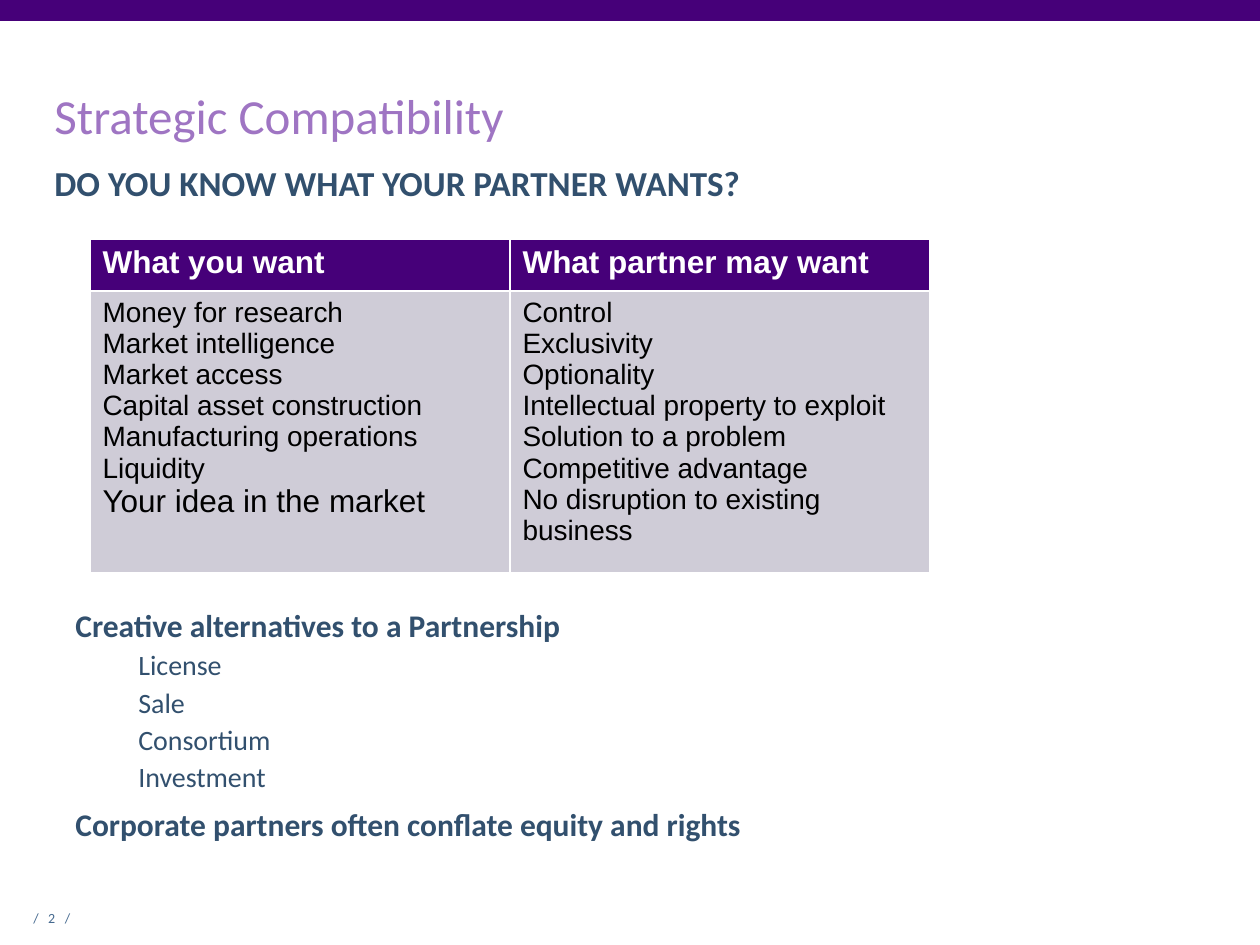
"""Build the Strategic Compatibility slide."""
import pptx
import pptx.dml.color
import pptx.enum.shapes
import pptx.enum.text
import pptx.util

COLORS = {"purple": "460079", "lilac": "9F75C3", "navy": "32506E",
          "steel": "45698F", "cell": "CFCCD7", "white": "FFFFFF", "black": "000000"}
ANCHOR = pptx.enum.text.MSO_ANCHOR
TABLE = {
    "What you want": [
        "Money for research", "Market intelligence", "Market access",
        "Capital asset construction", "Manufacturing operations", "Liquidity",
        "Your idea in the market"],
    "What partner may want": [
        "Control", "Exclusivity", "Optionality", "Intellectual property to exploit",
        "Solution to a problem", "Competitive advantage",
        "No disruption to existing business"],
}
ALTERNATIVES = ["License", "Sale", "Consortium", "Investment"]


def px(n):
    return pptx.util.Emu(round(n * 914400 / 126))


def rgb(name):
    return pptx.dml.color.RGBColor.from_string(COLORS[name])


def add_text(tf, text, size, color, font="Calibri", bold=False, line=None,
             before=0, after=0, margin=0, indent=0, level=0, tracking=0):
    p = tf.paragraphs[0]
    if p.runs:
        p = tf.add_paragraph()
    p.alignment = pptx.enum.text.PP_ALIGN.LEFT
    p.level = level
    p.line_spacing = line
    p.space_before, p.space_after = pptx.util.Pt(before), pptx.util.Pt(after)
    pPr = p._p.get_or_add_pPr()
    pPr.set("marL", str(px(margin)))
    pPr.set("indent", str(px(indent)))
    r = p.add_run()
    r.text = text
    r.font.name, r.font.size, r.font.bold = font, pptx.util.Pt(size), bold
    r.font.color.rgb = rgb(color)
    if tracking:
        r.font._element.set("spc", str(tracking))


def add_box(s, x, y, w, h, anchor=ANCHOR.TOP):
    tf = s.shapes.add_textbox(px(x), px(y), px(w), px(h)).text_frame
    tf.word_wrap = True
    tf.vertical_anchor = anchor
    return tf


def add_bar(s, x, y, w, h, color):
    sp = s.shapes.add_shape(pptx.enum.shapes.MSO_SHAPE.RECTANGLE,
                            px(x), px(y), px(w), px(h))
    sp.shadow.inherit = False
    sp.fill.solid()
    sp.fill.fore_color.rgb = rgb(color)
    sp.line.fill.background()


def fill_cell(cell, color):
    cell.fill.solid()
    cell.fill.fore_color.rgb = rgb(color)
    return cell.text_frame


def add_wants_table(s, x, y, w, heights):
    table = s.shapes.add_table(2, len(TABLE), px(x), px(y), px(w), px(sum(heights))).table
    for row, height in zip(table.rows, heights):
        row.height = px(height)
    for col, (head, wants) in enumerate(TABLE.items()):
        tf = fill_cell(table.cell(0, col), "purple")
        add_text(tf, head, 18, "white", font="Arial", bold=True)
        tf = fill_cell(table.cell(1, col), "cell")
        for want in wants:
            size = 18 if want.startswith("Your idea") else 16
            add_text(tf, want, size, "black", font="Arial")


def add_alternatives(s):
    tf = add_box(s, 63, 606, 1134, 258)
    head = dict(size=18, color="navy", bold=True, line=0.85, before=5, after=5,
                margin=39, indent=-39)
    add_text(tf, "Creative alternatives to a Partnership", **head)
    for name in ALTERNATIVES:
        add_text(tf, name, 16, "navy", line=0.85, after=5,
                 margin=102, indent=-39, level=1)
    add_text(tf, "Corporate partners often conflate equity and rights", **head)


def main():
    prs = pptx.Presentation()
    prs.slide_width, prs.slide_height = px(1260), px(945)
    s = prs.slides.add_slide(prs.slide_layouts[6])
    tf = add_box(s, 21, 902, 73, 30, ANCHOR.BOTTOM)
    tf.margin_right = 0
    add_text(tf, "/ 2 /", 8, "steel", tracking=180)
    add_bar(s, 0, 0, 1260, 21, "purple")
    add_alternatives(s)
    tf = add_box(s, 42, 81, 1176, 76, ANCHOR.BOTTOM)
    tf.margin_top = tf.margin_bottom = pptx.util.Inches(0.1)
    add_text(tf, "Strategic Compatibility", 28, "lilac", line=0.85)
    tf = add_box(s, 42, 158, 1176, 50)
    add_text(tf, "DO YOU KNOW WHAT YOUR PARTNER WANTS?", 20, "navy",
             bold=True, line=0.95, before=5, after=5)
    add_wants_table(s, 90, 239, 840, [52, 252])
    prs.save("out.pptx")


if __name__ == "__main__":
    main()
